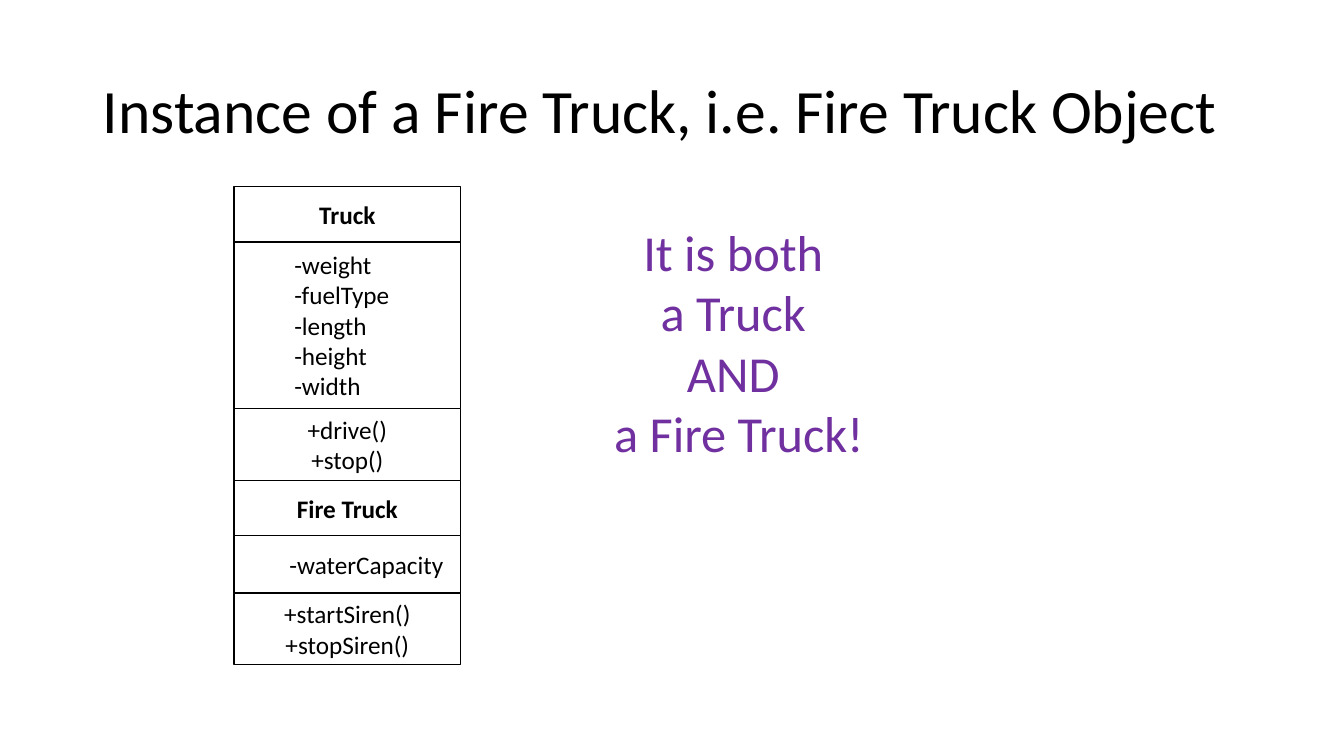
from dataclasses import dataclass

from pptx import Presentation
from pptx.dml.color import RGBColor
from pptx.enum.shapes import MSO_SHAPE as SHAPE
from pptx.enum.text import MSO_ANCHOR as ANCHOR, MSO_AUTO_SIZE as AUTO_SIZE, PP_ALIGN as ALIGN
from pptx.util import Inches, Pt


@dataclass(frozen=True)
class Theme:
    font: str = "Calibri"
    ink: RGBColor = RGBColor(0x00, 0x00, 0x00)
    paper: RGBColor = RGBColor(0xFF, 0xFF, 0xFF)
    accent: RGBColor = RGBColor(0x70, 0x30, 0xA0)
    title: int = 44
    remark: int = 36
    body: int = 18


THEME = Theme()

COMPARTMENTS = [
    ("name", 0.55, ["Truck"]),
    ("fields", 1.65, ["-weight", "-fuelType", "-length", "-height", "-width"]),
    ("methods", 0.715, ["+drive()", "+stop()"]),
    ("name", 0.55, ["Fire Truck"]),
    ("fields", 0.57, ["-waterCapacity"]),
    ("methods", 0.71, ["+startSiren()", "+stopSiren()"]),
]


def add_run(p, text, size, color=THEME.ink, bold=False):
    r = p.add_run()
    r.text = text
    r.font.name = THEME.font
    r.font.size = Pt(size)
    r.font.color.rgb = color
    r.font.bold = bold


def place_title(s, left, top, width, height):
    sp = s.shapes.title
    sp.left, sp.top, sp.width, sp.height = map(Inches, (left, top, width, height))
    tf = sp.text_frame
    tf.vertical_anchor = ANCHOR.MIDDLE
    p = tf.paragraphs[0]
    p.alignment = ALIGN.LEFT
    p.line_spacing = 0.9
    add_run(p, "Instance of a Fire Truck, i.e. Fire Truck Object", THEME.title)


def add_compartment(s, left, top, width, height, kind, lines):
    sp = s.shapes.add_shape(SHAPE.RECTANGLE, *map(Inches, (left, top, width, height)))
    sp.shadow.inherit = False
    sp.fill.solid()
    sp.fill.fore_color.rgb = THEME.paper
    sp.line.color.rgb = THEME.ink
    sp.line.width = Pt(1)
    tf = sp.text_frame
    tf.word_wrap = True
    tf.vertical_anchor = ANCHOR.MIDDLE
    if kind == "fields" and len(lines) == 1:
        tf.margin_left = tf.margin_right = Inches(0.05)
    for i, line in enumerate(lines):
        p = tf.add_paragraph() if i else tf.paragraphs[0]
        if kind == "fields":
            p.alignment = ALIGN.LEFT
            p.level = 1
            p._p.get_or_add_pPr().set("marL", str(Inches(0.5)))
        else:
            p.alignment = ALIGN.CENTER
        add_run(p, line, THEME.body, bold=kind == "name")


def add_class_diagram(s, left, top, width):
    for kind, height, lines in COMPARTMENTS:
        add_compartment(s, left, top, width, height, kind, lines)
        top += height


def add_remark(s, left, top, width, height):
    tf = s.shapes.add_textbox(*map(Inches, (left, top, width, height))).text_frame
    tf.word_wrap = False
    tf.auto_size = AUTO_SIZE.SHAPE_TO_FIT_TEXT
    p = tf.paragraphs[0]
    p.alignment = ALIGN.CENTER
    for i, line in enumerate(["It is both ", "a Truck ", "AND ", "a Fire Truck!"]):
        if i:
            p.add_line_break()
        add_run(p, line, THEME.remark, THEME.accent)


def main():
    prs = Presentation()
    prs.slide_width, prs.slide_height = Inches(13.33), Inches(7.5)
    s = prs.slides.add_slide(prs.slide_layouts[5])
    place_title(s, 0.92, 0.4, 11.5, 1.45)
    add_class_diagram(s, 2.32, 1.85, 2.25)
    add_remark(s, 5.98, 2.14, 2.7, 2.52)
    prs.save("out.pptx")


if __name__ == "__main__":
    main()
